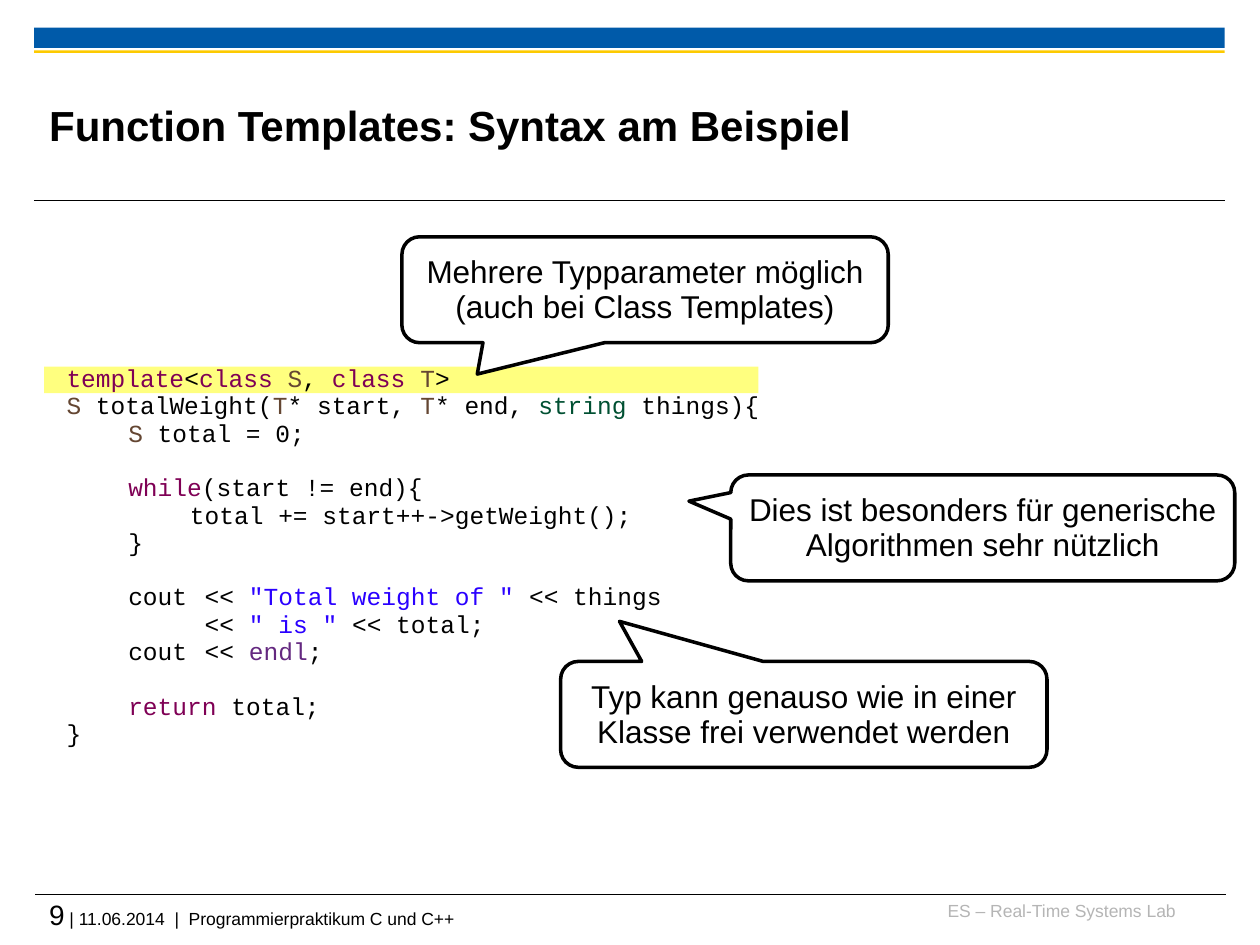
from lxml import etree
from pptx import Presentation
from pptx.dml.color import RGBColor
from pptx.enum import shapes, text
from pptx.oxml.ns import qn
from pptx.util import Inches, Pt

BLACK, WHITE = "000000", "FFFFFF"
KEYWORD, TYPE, CLASS, STRING, MANIPULATOR = "7F0055", "644632", "005032", "2A00FF", "642880"
CODE_PITCH = Pt(15.6)
TAB_WIDTH = 0.49

# Each block is a list of lines; each line is a list of (text, colour) pieces
CODE_BLOCKS = [
    [
        [("template", KEYWORD), ("<", BLACK), ("class ", KEYWORD), ("S", TYPE),
         (", ", BLACK), ("class ", KEYWORD), ("T", TYPE), (">", BLACK)],
        [("S", TYPE), (" totalWeight(", BLACK), ("T", TYPE), ("* start, ", BLACK),
         ("T", TYPE), ("* end, ", BLACK), ("string", CLASS), (" things){", BLACK)],
        [("\tS", TYPE), (" total = 0;", BLACK)],
    ],
    [
        [("\twhile", KEYWORD), ("(start != end){", BLACK)],
        [("\t\ttotal += start++->getWeight();", BLACK)],
        [("\t}", BLACK)],
    ],
    [
        [("\tcout\t << ", BLACK), ('"Total weight of "', STRING), (" << things", BLACK)],
        [("\t\t << ", BLACK), ('" is "', STRING), (" << total;", BLACK)],
        [("\tcout\t << ", BLACK), ("endl", MANIPULATOR), (";", BLACK)],
    ],
    [
        [("\treturn", KEYWORD), (" total;", BLACK)],
        [("}", BLACK)],
    ],
]

# Box, pointer adjustments, wording
CALLOUTS = [
    ((3.19, 1.88, 3.86, 0.84), (-0.345, 0.797),
     "Mehrere Typparameter möglich (auch bei Class Templates)"),
    ((4.45, 5.25, 3.86, 0.84), (-0.379, -0.879),
     "Typ kann genauso wie in einer Klasse frei verwendet werden"),
    ((5.8, 3.77, 4, 0.84), (-0.583, -0.253),
     "Dies ist besonders für generische Algorithmen sehr nützlich"),
]


def color(value):
    return RGBColor.from_string(value)


def inches(box):
    return [Inches(length) for length in box]


def format_run(run, size, value=BLACK, name="Arial", bold=False):
    run.font.size = Pt(size)
    run.font.name = name
    run.font.bold = bold
    run.font.color.rgb = color(value)


def add_piece(paragraph, wording, *style):
    run = paragraph.add_run()
    run.text = wording
    format_run(run, *style)


def clear_margins(frame):
    frame.margin_left = frame.margin_right = frame.margin_top = frame.margin_bottom = 0


def add_text_frame(slide, box):
    frame = slide.shapes.add_textbox(*inches(box)).text_frame
    frame.word_wrap = True
    return frame


def add_bar(slide, box, fill):
    shape = slide.shapes.add_shape(shapes.MSO_SHAPE.RECTANGLE, *inches(box))
    shape.shadow.inherit = False
    shape.fill.solid()
    shape.fill.fore_color.rgb = color(fill)
    shape.line.fill.background()
    return shape


def add_rule(slide, left, top, width):
    rule = slide.shapes.add_connector(
        shapes.MSO_CONNECTOR.STRAIGHT, *inches((left, top, left + width, top)))
    rule.line.color.rgb = color(BLACK)
    rule.line.width = Pt(0.6)
    etree.SubElement(rule._element.spPr, qn("a:effectLst"))


def add_header(slide, left, top, width):
    add_bar(slide, (left, top, width, 0.16), "005AA9")
    add_bar(slide, (left, top + 0.18, width, 0.02), "FDCA00")
    add_rule(slide, left, top + 1.37, width)


def add_footer(slide, left, top, width):
    add_rule(slide, left, top, width)

    # Lab name on the right
    frame = add_text_frame(slide, (7.36, top + 0.04, 1.97, 0.25))
    clear_margins(frame)
    frame.text = "ES – Real-Time Systems Lab"
    frame.paragraphs[0].alignment = text.PP_ALIGN.RIGHT
    format_run(frame.paragraphs[0].runs[0], 10, "B5B5B5")

    # Page number, date and course on the left
    frame = add_text_frame(slide, (0.39, top + 0.02, 9.33, 0.33))
    clear_margins(frame)
    add_piece(frame.paragraphs[0], "9", 16)
    add_piece(frame.paragraphs[0], " | 11.06.2014  |  Programmierpraktikum C und C++", 10)


def set_title(slide, box, wording):
    title = slide.shapes.title
    title.left, title.top, title.width, title.height = inches(box)
    frame = title.text_frame
    frame.text = wording
    frame.vertical_anchor = text.MSO_ANCHOR.MIDDLE
    clear_margins(frame)
    frame.paragraphs[0].alignment = text.PP_ALIGN.LEFT
    format_run(frame.paragraphs[0].runs[0], 24, bold=True)


def add_highlight(slide, box):
    bar = add_bar(slide, box, "FFFF00")
    fill_color = bar._element.spPr.find(qn("a:solidFill"))[0]
    etree.SubElement(fill_color, qn("a:alpha"), val="50000")


def add_tab_stops(paragraph, count=2):
    tabs = etree.SubElement(paragraph._p.get_or_add_pPr(), qn("a:tabLst"))
    for number in range(1, count + 1):
        etree.SubElement(tabs, qn("a:tab"), pos=str(Inches(TAB_WIDTH * number)), algn="l")


def add_code(slide, box):
    frame = add_text_frame(slide, box)
    paragraph = frame.paragraphs[0]
    for block_number, block in enumerate(CODE_BLOCKS):
        for line_number, line in enumerate(block):
            if block_number or line_number:
                paragraph = frame.add_paragraph()
            paragraph.line_spacing = CODE_PITCH
            if block_number and not line_number:
                paragraph.space_before = CODE_PITCH
            add_tab_stops(paragraph)
            for wording, value in line:
                add_piece(paragraph, wording, 14, value, "Courier New")


def add_callout(slide, box, pointer, wording):
    shape = slide.shapes.add_shape(
        shapes.MSO_SHAPE.ROUNDED_RECTANGULAR_CALLOUT, *inches(box))
    shape.shadow.inherit = False
    shape.adjustments[0], shape.adjustments[1] = pointer
    shape.fill.solid()
    shape.fill.fore_color.rgb = color(WHITE)
    shape.line.color.rgb = color(BLACK)
    shape.line.width = Pt(2)
    frame = shape.text_frame
    frame.text = wording
    frame.word_wrap = True
    frame.vertical_anchor = text.MSO_ANCHOR.MIDDLE
    paragraph = frame.paragraphs[0]
    paragraph.alignment = text.PP_ALIGN.CENTER
    paragraph.line_spacing = Pt(20)
    format_run(paragraph.runs[0], 18)


def main():
    presentation = Presentation()
    presentation.slide_width, presentation.slide_height = Inches(10), Inches(7.5)
    slide = presentation.slides.add_slide(presentation.slide_layouts[5])

    # Frame of the slide
    add_header(slide, 0.27, 0.22, 9.45)
    add_footer(slide, 0.28, 7.1, 9.45)
    set_title(slide, (0.39, 0.53, 7.52, 0.92), "Function Templates: Syntax am Beispiel")

    # Code listing with its explanations
    add_highlight(slide, (0.35, 2.91, 5.67, 0.21))
    add_code(slide, (0.43, 2.85, 6.77, 3.17))
    for callout in CALLOUTS:
        add_callout(slide, *callout)

    presentation.save("out.pptx")


if __name__ == "__main__":
    main()
